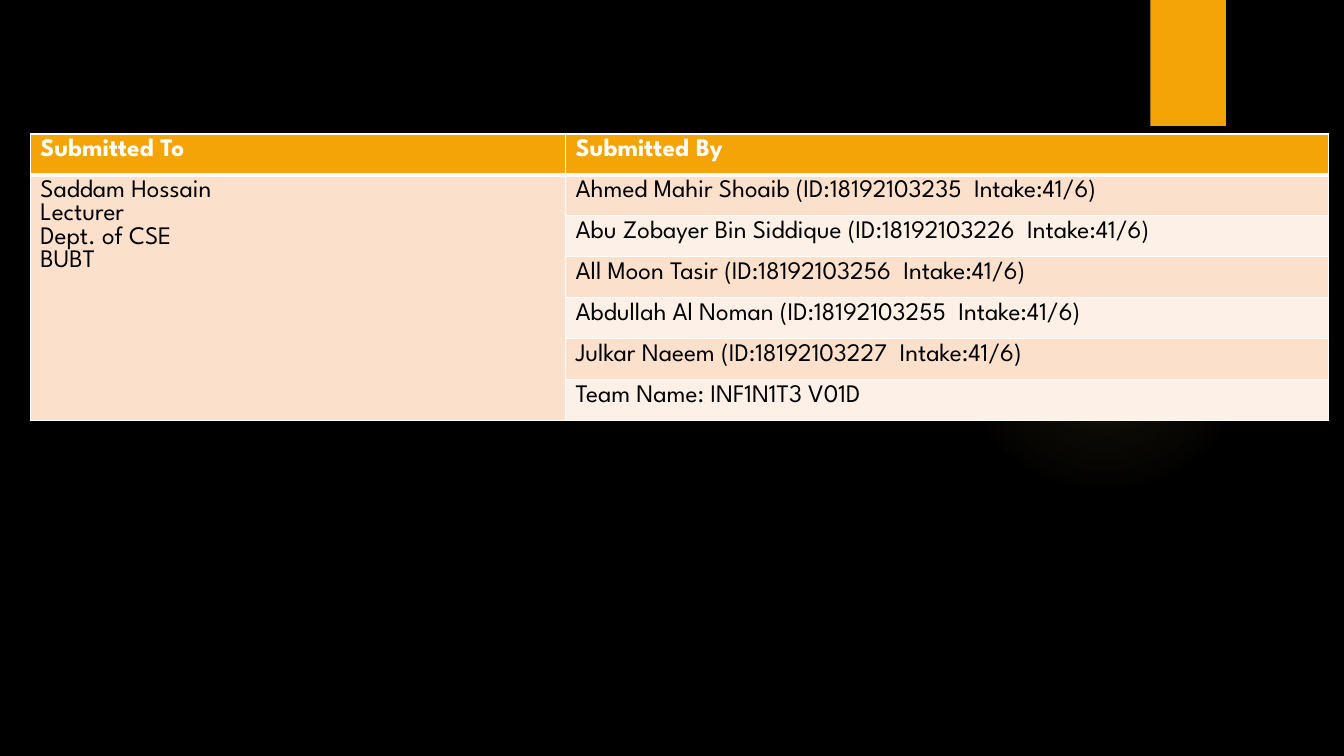
from pptx import Presentation, oxml, util as u
from pptx.dml.color import RGBColor
from pptx.enum import shapes
from pptx.oxml import ns

THEME = {
    "font": "League Spartan", "size": 18,
    "back": "000000", "gold": "F5A408", "glow": "FAC96A",
    "head": "FFFFFF", "body": "000000", "line": "FFFFFF",
    "bands": ("FBE0CC", "FDF0E7"),
}
WIDE, HIGH = 13.33, 7.5
ROW = 0.406
COLS = (5.31, 7.57)
HOST = "Saddam Hossain\nLecturer\nDept. of CSE\nBUBT"
TEAM = [
    "Ahmed Mahir Shoaib (ID:18192103235  Intake:41/6)",
    "Abu Zobayer Bin Siddique (ID:18192103226  Intake:41/6)",
    "All Moon Tasir (ID:18192103256  Intake:41/6)",
    "Abdullah Al Noman (ID:18192103255  Intake:41/6)",
    "Julkar Naeem (ID:18192103227  Intake:41/6)",
    "Team Name: INF1N1T3 V01D",
]


def add_plain(kind, *box):
    shape = slide.shapes.add_shape(kind, *map(u.Inches, box))
    shape.shadow.inherit = False
    shape.line.fill.background()
    return shape


def style_cell(cell, words, tone, fill, head):
    cell.text = words
    for para in cell.text_frame.paragraphs:
        look = {"name": THEME["font"], "size": u.Pt(THEME["size"]), "bold": head}
        for run in para.runs:
            for key, value in look.items():
                setattr(run.font, key, value)
            run.font.color.rgb = RGBColor.from_string(tone)
    props = cell._tc.get_or_add_tcPr()
    for side in "LRTB":
        width = u.Pt(3 if head and side == "B" else 1)
        props.append(oxml.parse_xml(
            f'<a:ln{side} {ns.nsdecls("a")} w="{width}"><a:solidFill>'
            f'<a:srgbClr val="{THEME["line"]}"/></a:solidFill></a:ln{side}>'))
    cell.fill.solid()
    cell.fill.fore_color.rgb = RGBColor.from_string(fill)


deck = Presentation()
deck.slide_width, deck.slide_height = u.Inches(WIDE), u.Inches(HIGH)
slide = deck.slides.add_slide(deck.slide_layouts[6])
slide.background.fill.solid()
slide.background.fill.fore_color.rgb = RGBColor.from_string(THEME["back"])

# Soft round glow behind the table
glow = add_plain(shapes.MSO_SHAPE.OVAL, 9.41, 1.83, 3.08, 3.08)
glow.fill.gradient()
stops = "".join(
    f'<a:gs pos="{pos}000"><a:srgbClr val="{THEME["glow"]}">'
    f'<a:alpha val="{alpha}000"/></a:srgbClr></a:gs>'
    for pos, alpha in ((0, 7), (36, 6), (69, 0)))
props = glow._element.spPr
props.replace(props.find(ns.qn("a:gradFill")), oxml.parse_xml(
    f'<a:gradFill {ns.nsdecls("a")}><a:gsLst>{stops}</a:gsLst><a:path path="circle">'
    '<a:fillToRect l="50000" t="50000" r="50000" b="50000"/></a:path></a:gradFill>'))

# Gold tab at the top edge
tab = add_plain(shapes.MSO_SHAPE.RECTANGLE, 11.41, 0, 0.75, HIGH / 6)
tab.fill.solid()
tab.fill.fore_color.rgb = RGBColor.from_string(THEME["gold"])

# Who it is for and who made it
rows = len(TEAM) + 1
table = slide.shapes.add_table(
    rows, len(COLS), *map(u.Inches, (0.3, 1.33, sum(COLS), rows * ROW))).table
for col, width in zip(table.columns, COLS):
    col.width = u.Inches(width)
for row in table.rows:
    row.height = u.Inches(ROW)
for col, words in enumerate(("Submitted To", "Submitted By")):
    style_cell(table.cell(0, col), words, THEME["head"], THEME["gold"], True)
table.cell(1, 0).merge(table.cell(rows - 1, 0))
style_cell(table.cell(1, 0), HOST, THEME["body"], THEME["bands"][0], False)
for row, words in enumerate(TEAM):
    style_cell(table.cell(row + 1, 1), words, THEME["body"], THEME["bands"][row % 2], False)

deck.save("out.pptx")
